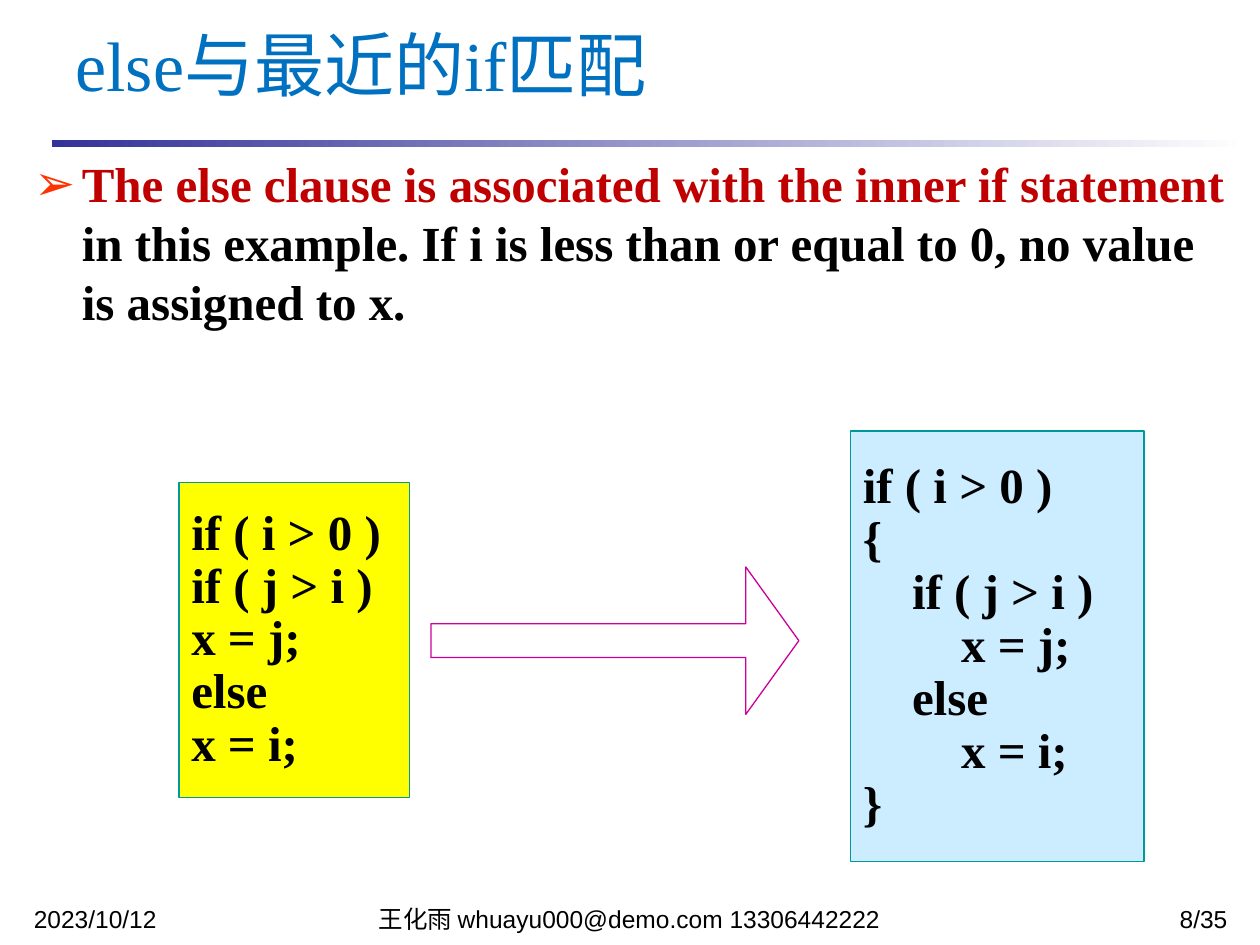
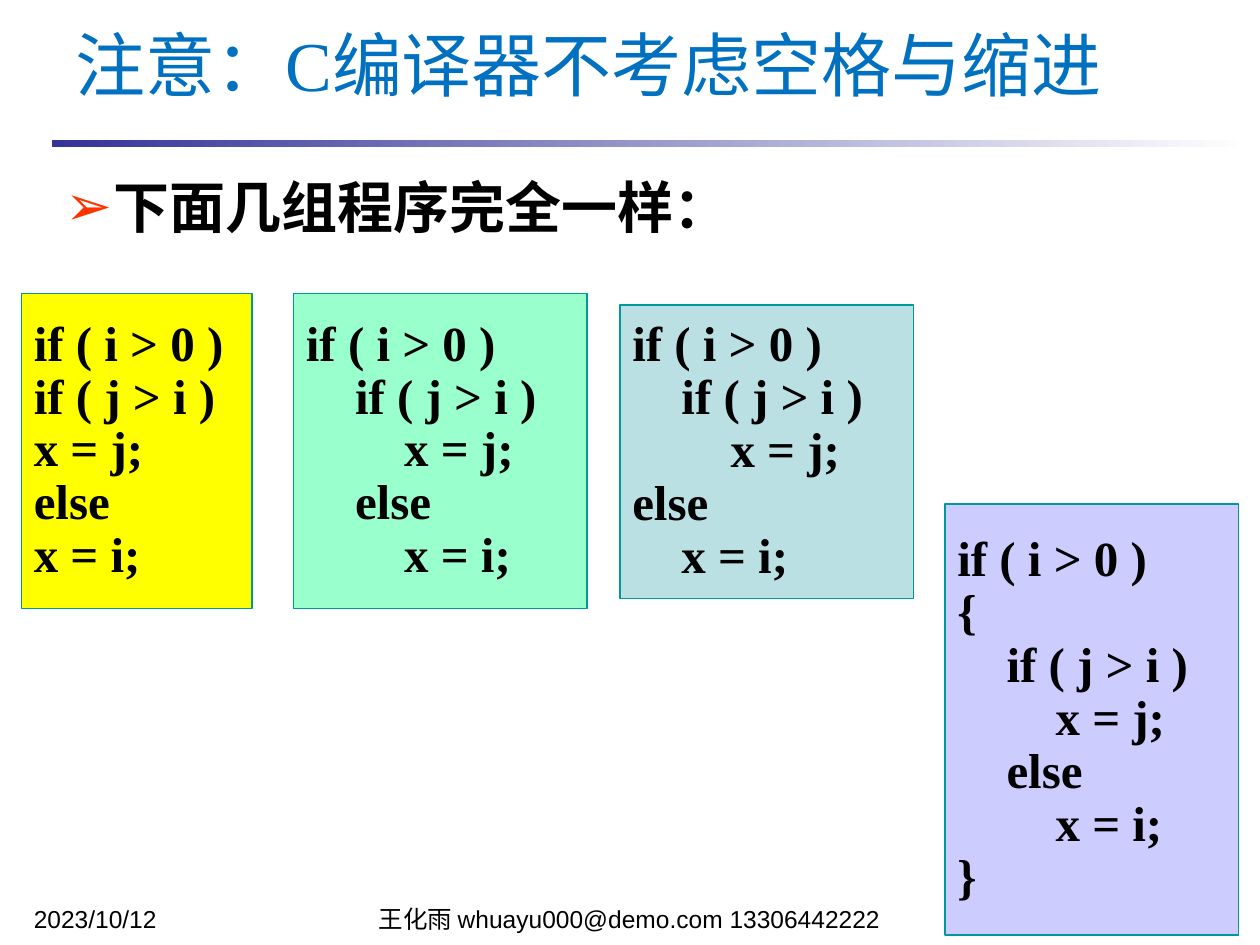
import pptx
import pptx.util
import pptx.dml.color
import pptx.enum.shapes
import pptx.enum.text
import lxml.etree
from dataclasses import dataclass

Inches = pptx.util.Inches
Pt = pptx.util.Pt
Shape = pptx.enum.shapes.MSO_SHAPE
Align = pptx.enum.text.PP_ALIGN
Anchor = pptx.enum.text.MSO_ANCHOR
NS = "http://schemas.openxmlformats.org/drawingml/2006/main"


@dataclass(frozen=True)
class Theme:
    """Colours, fonts and type sizes of the deck."""
    ink: str = "000000"
    title: str = "0070C0"
    accent: str = "C00000"
    bullet: str = "FF3300"
    band: str = "333399"
    paper: str = "FFFFFF"
    edge: str = "009999"
    arrow: str = "CC0099"
    yellow: str = "FFFF00"
    sky: str = "CCECFF"
    mint: str = "99FFCC"
    teal: str = "BBE0E3"
    lilac: str = "CCCCFF"
    serif: str = "Times New Roman"
    sans: str = "Arial"
    han: str = "Noto Sans CJK SC"
    head_size: int = 40
    lead_size: int = 32
    code_size: int = 28
    foot_size: int = 14
    hair: float = 0.75
    hang: float = 0.38
    tab: float = 0.39


THEME = Theme()
CODE = ["if ( i > 0 )", "if ( j > i )", "x = j;", "else", "x = i;"]
BLOCK = [CODE[0], "{", *CODE[1:], "}"]
FLAT = list(zip([0, 0, 0, 0, 0], CODE))
NESTED = list(zip([0, 1, 2, 1, 2], CODE))
OUTER = list(zip([0, 1, 2, 0, 1], CODE))
BRACED = list(zip([0, 0, 1, 2, 1, 2, 0], BLOCK))


def rgb(code):
    """Turn a hex code into a colour."""
    return pptx.dml.color.RGBColor.from_string(code)


def place(shape, box):
    """Move a shape to a box of left, top, width and height."""
    shape.left, shape.top, shape.width, shape.height = map(Inches, box)


def style(run, size, color, face=THEME.serif, bold=False):
    """Set the font of a run for Latin and Chinese text."""
    font = run.font
    font.size, font.name, font.bold = Pt(size), face, bold
    font.color.rgb = rgb(color)
    props = run._r.get_or_add_rPr()
    east = lxml.etree.Element(f"{{{NS}}}ea", typeface=THEME.han)
    props.find(f"{{{NS}}}latin").addnext(east)


def indent(para, left, first=0):
    """Set the left margin and first-line indent of a paragraph."""
    props = para._p.get_or_add_pPr()
    props.set("marL", str(Inches(left)))
    props.set("indent", str(Inches(first)))
    return props


def draw(slide, kind, box, fill=None, line=None):
    """Add a flat preset shape."""
    shape = slide.shapes.add_shape(kind, *map(Inches, box))
    shape.shadow.inherit = False
    if fill:
        shape.fill.solid()
        shape.fill.fore_color.rgb = rgb(fill)
    else:
        shape.fill.background()
    if line:
        shape.line.color.rgb = rgb(line)
        shape.line.width = Pt(THEME.hair)
    else:
        shape.line.fill.background()
    return shape


def add_band(slide, box):
    """Draw the fading rule below the title."""
    band = draw(slide, Shape.RECTANGLE, box)
    band.fill.gradient()
    band.fill.gradient_angle = 0
    for stop, color in zip(band.fill.gradient_stops, (THEME.band, THEME.paper)):
        stop.color.rgb = rgb(color)


def add_foot(slide, box, text, align):
    """Add one footer field."""
    frame = slide.shapes.add_textbox(*map(Inches, box)).text_frame
    frame.word_wrap = True
    para = frame.paragraphs[0]
    para.text = text
    para.alignment, para.line_spacing = align, 0.8
    style(para.runs[0], THEME.foot_size, THEME.ink, THEME.sans)


def add_title(slide, box, text):
    """Fill the title placeholder."""
    title = slide.shapes.title
    place(title, box)
    frame = title.text_frame
    frame.auto_size = pptx.enum.text.MSO_AUTO_SIZE.NONE
    frame.vertical_anchor = Anchor.MIDDLE
    frame.text = text
    frame.paragraphs[0].alignment = Align.LEFT
    style(frame.paragraphs[0].runs[0], THEME.head_size, THEME.title)


def add_body(slide, box, parts, size, face):
    """Fill the body placeholder with one bullet of coloured parts."""
    body = slide.placeholders[1]
    place(body, box)
    frame = body.text_frame
    frame.auto_size = pptx.enum.text.MSO_AUTO_SIZE.NONE
    para = frame.paragraphs[0]
    for text, color in parts:
        run = para.add_run()
        run.text = text
        style(run, size, color, face, True)
    props = indent(para, THEME.hang, -THEME.hang)
    tint = lxml.etree.SubElement(props, f"{{{NS}}}buClr")
    lxml.etree.SubElement(tint, f"{{{NS}}}srgbClr", val=THEME.bullet)
    lxml.etree.SubElement(props, f"{{{NS}}}buChar", char="➢")


def add_code(slide, box, lines, fill):
    """Draw a code box whose lines carry an indent level."""
    frame = draw(slide, Shape.RECTANGLE, box, fill, THEME.edge).text_frame
    frame.word_wrap = True
    frame.vertical_anchor = Anchor.MIDDLE
    frame.text = "\n".join(text for _, text in lines)
    for para, (level, _) in zip(frame.paragraphs, lines):
        para.alignment, para.line_spacing = Align.LEFT, 0.9
        indent(para, level * THEME.tab)
        style(para.runs[0], THEME.code_size, THEME.ink, bold=True)


def add_arrow(slide, box):
    """Draw the hollow block arrow."""
    arrow = draw(slide, Shape.RIGHT_ARROW, box, line=THEME.arrow)
    arrow.adjustments[0], arrow.adjustments[1] = 0.23, 0.36


def add_base(deck, title):
    """Start a slide with title, rule and footers."""
    slide = deck.slides.add_slide(deck.slide_layouts[1])
    add_band(slide, (0.41, 1.11, 9.51, 0.06))
    add_foot(slide, (0.17, 7.17, 2.33, 0.18), "2023/10/12", Align.LEFT)
    add_foot(slide, (2.58, 7.17, 4.83, 0.18),
             "王化雨 whuayu000@demo.com 13306442222", Align.CENTER)
    add_title(slide, (0.5, 0.17, 9.33, 0.67), title)
    return slide


def match_slide(deck):
    """Build the slide on pairing else with if."""
    slide = add_base(deck, "else与最近的if匹配")
    add_foot(slide, (7.92, 7.17, 1.92, 0.18), "8/35", Align.RIGHT)
    parts = [
        ("The else clause is associated with the inner if statement ", THEME.accent),
        ("in this example. If i is less than or equal to 0, "
         "no value is assigned to x.", THEME.ink),
    ]
    add_body(slide, (0.17, 1.17, 9.67, 1.6), parts, THEME.code_size, THEME.serif)
    add_code(slide, (1.42, 3.83, 1.83, 2.5), FLAT, THEME.yellow)
    add_code(slide, (6.75, 3.42, 2.33, 3.42), BRACED, THEME.sky)
    add_arrow(slide, (3.42, 4.5, 2.92, 1.17))


def space_slide(deck):
    """Build the slide on spaces and indents."""
    slide = add_base(deck, "注意：C编译器不考虑空格与缩进")
    add_body(slide, (0.42, 1.32, 9.06, 0.68),
             [("下面几组程序完全一样：", THEME.ink)], THEME.lead_size, THEME.han)
    add_code(slide, (0.17, 2.33, 1.83, 2.5), FLAT, THEME.yellow)
    add_code(slide, (2.33, 2.33, 2.33, 2.5), NESTED, THEME.mint)
    add_code(slide, (4.92, 2.42, 2.33, 2.33), OUTER, THEME.teal)
    add_code(slide, (7.5, 4, 2.33, 3.42), BRACED, THEME.lilac)


def main():
    """Build and save the deck."""
    deck = pptx.Presentation()
    deck.slide_width, deck.slide_height = Inches(10), Inches(7.5)
    match_slide(deck)
    space_slide(deck)
    deck.save("out.pptx")


if __name__ == "__main__":
    main()
